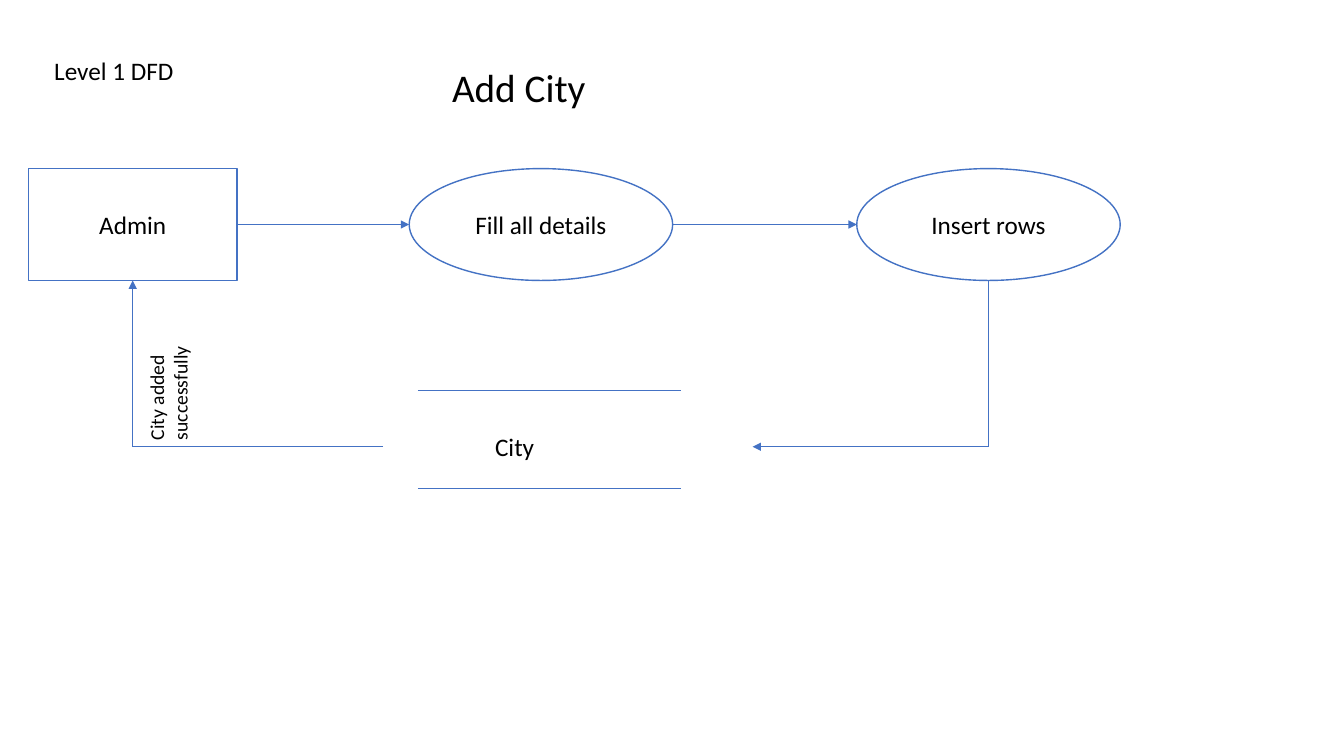
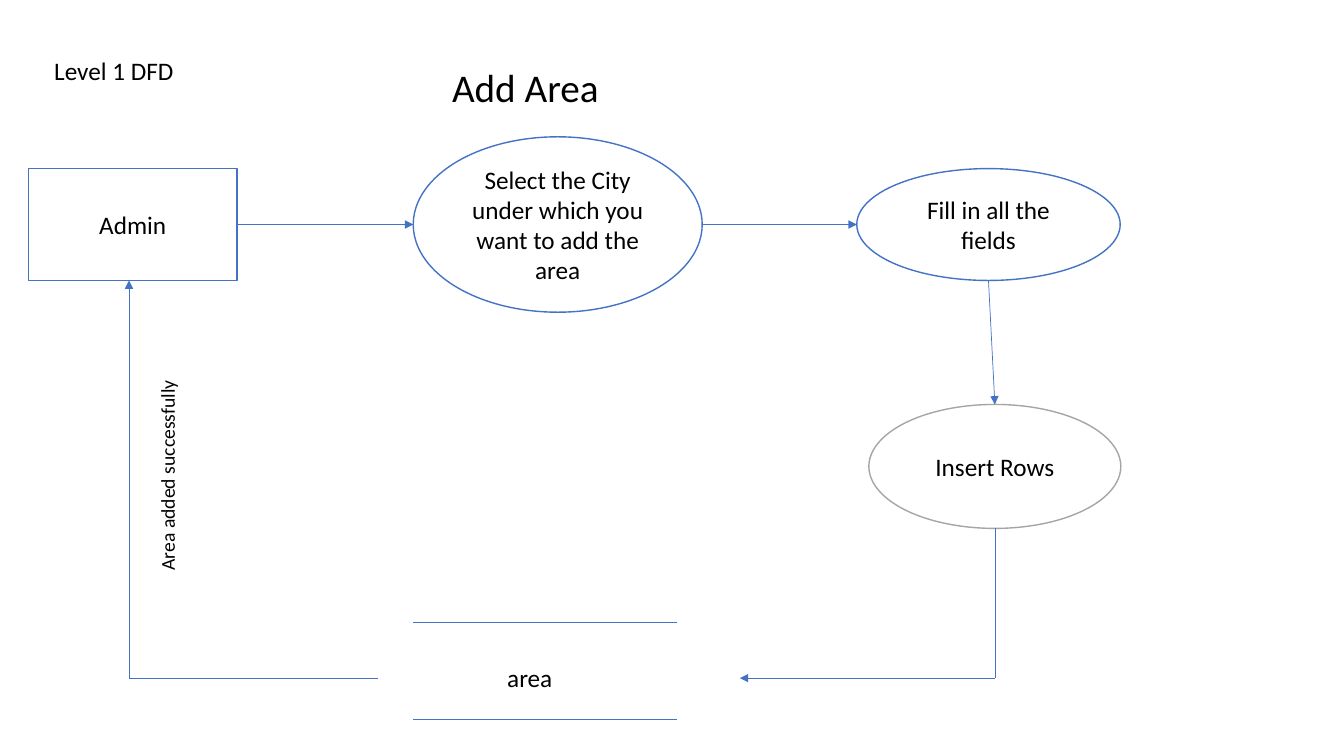
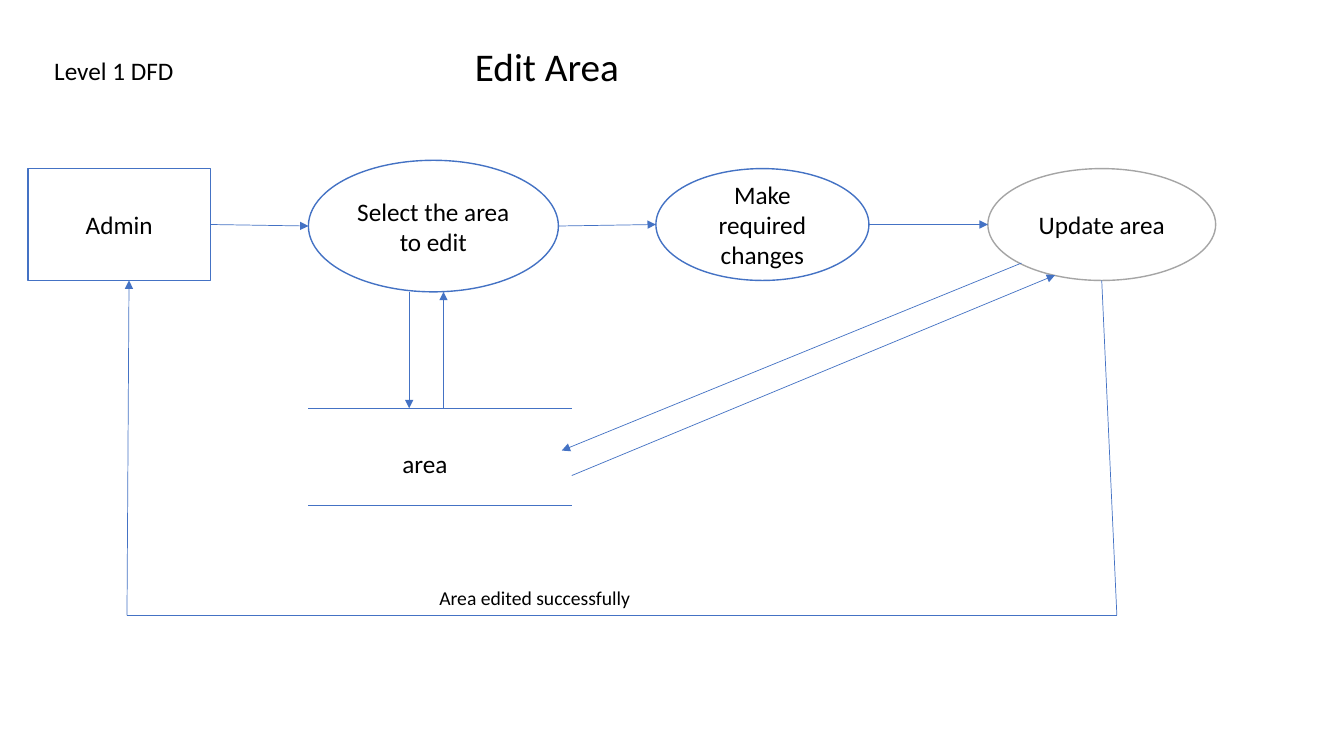
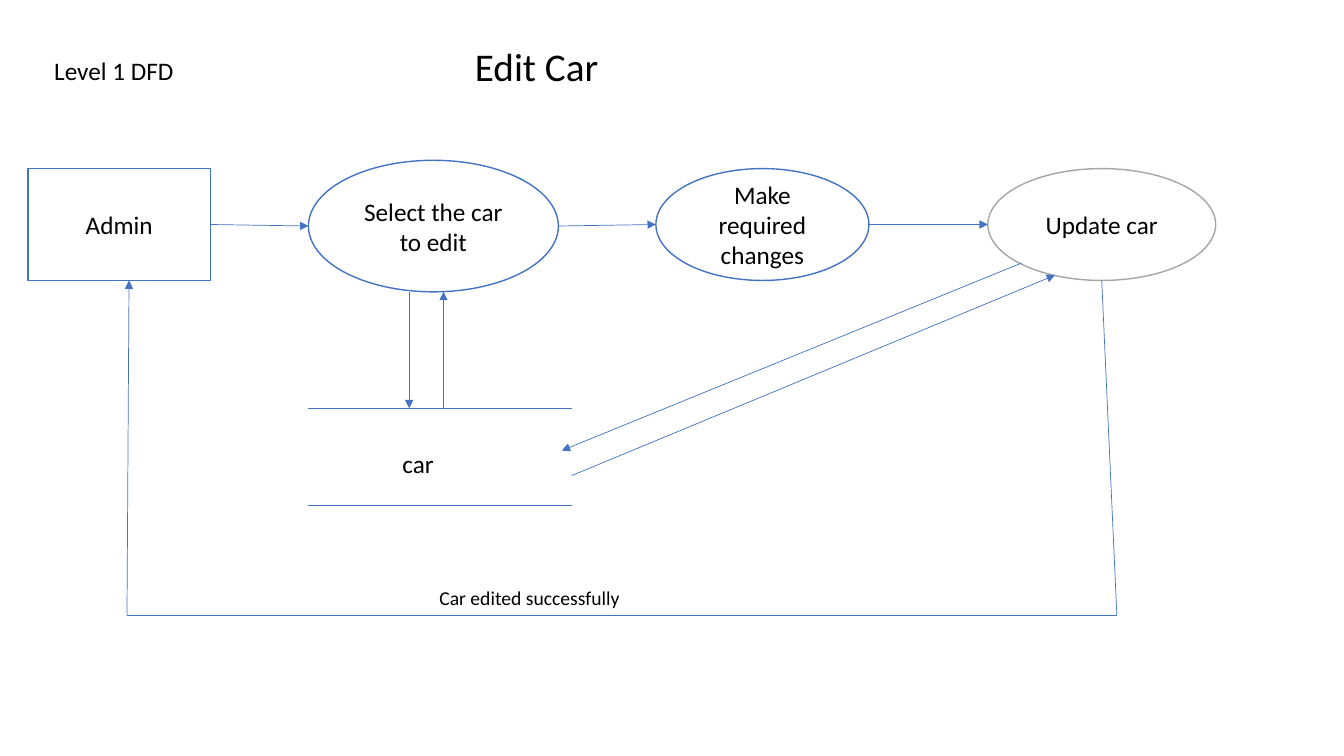
from dataclasses import dataclass

from lxml.etree import SubElement
from pptx import Presentation
from pptx.dml.color import RGBColor
from pptx.enum.shapes import MSO_CONNECTOR, MSO_SHAPE
from pptx.enum.text import MSO_ANCHOR, MSO_AUTO_SIZE, PP_ALIGN
from pptx.oxml.ns import qn
from pptx.util import Inches, Pt


@dataclass(frozen=True)
class Theme:
    width: int = Inches(13.33)
    height: int = Inches(7.5)
    font: str = "Calibri"
    title: int = 28
    body: int = 18
    note: int = 14
    ink: str = "000000"
    paper: str = "FFFFFF"
    blue: str = "4472C4"
    grey: str = "A5A5A5"
    outline: float = 1
    flow: float = 0.5


THEME = Theme()
ROW_TOP = 22.3
ROW_HEIGHT = 14.8
STORE_WIDTH = 19.6
STORE_HEIGHT = 12.9


@dataclass(frozen=True)
class Area:
    """A rectangle in percent of the slide's width and height."""
    left: float
    top: float
    width: float
    height: float

    @property
    def center(self):
        return self.left + self.width / 2

    @property
    def middle(self):
        return self.top + self.height / 2

    @property
    def right(self):
        return self.left + self.width

    @property
    def bottom(self):
        return self.top + self.height

    def lengths(self):
        return (*place(self.left, self.top), *place(self.width, self.height))


def place(across, down):
    return round(THEME.width * across / 100), round(THEME.height * down / 100)


def apply(target, values):
    for name, value in values.items():
        setattr(target, name, value)


def write(box, text, size, frame_format, align=PP_ALIGN.LEFT):
    frame = box.text_frame
    apply(frame, {"word_wrap": True, **frame_format})
    para = frame.paragraphs[0]
    para.alignment = align
    span = para.add_run()
    span.text = text
    apply(span.font, {"name": THEME.font, "size": Pt(size)})
    span.font.color.rgb = RGBColor.from_string(THEME.ink)


def add_label(page, text, area, size=THEME.body, rotation=0):
    box = page.shapes.add_textbox(*area.lengths())
    box.rotation = rotation
    write(box, text, size, {"auto_size": MSO_AUTO_SIZE.SHAPE_TO_FIT_TEXT})


def add_node(page, text, area, kind=MSO_SHAPE.OVAL, color=THEME.blue):
    box = page.shapes.add_shape(kind, *area.lengths())
    box.shadow.inherit = False
    box.fill.solid()
    box.fill.fore_color.rgb = RGBColor.from_string(THEME.paper)
    box.line.color.rgb = RGBColor.from_string(color)
    box.line.width = Pt(THEME.outline)
    write(box, text, THEME.body, {"vertical_anchor": MSO_ANCHOR.MIDDLE},
          PP_ALIGN.CENTER)
    return area


def add_line(page, start, end, arrow=False):
    line = page.shapes.add_connector(
        MSO_CONNECTOR.STRAIGHT, *place(*start), *place(*end))
    line.line.color.rgb = RGBColor.from_string(THEME.blue)
    line.line.width = Pt(THEME.flow)
    properties = line.element.spPr
    if arrow:
        SubElement(properties.get_or_add_ln(), qn("a:tailEnd"), type="triangle")
    SubElement(properties, qn("a:effectLst"))


def add_route(page, *points, arrow=True):
    for index, (start, end) in enumerate(zip(points, points[1:]), 2):
        add_line(page, start, end, arrow and index == len(points))


def link_across(page, *nodes):
    for source, target in zip(nodes, nodes[1:]):
        add_line(page, (source.right, source.middle),
                 (target.left, target.middle), arrow=True)


def add_store(page, text, left, top, text_left):
    area = Area(left, top, STORE_WIDTH, STORE_HEIGHT)
    for level in (area.top, area.bottom):
        add_line(page, (area.left, level), (area.right, level))
    add_label(page, text, Area(text_left, top + 4.7, 10, 5.3))
    return area


def in_row(left, width):
    return Area(left, ROW_TOP, width, ROW_HEIGHT)


def start_page(deck, title, title_left, title_top, admin_width):
    page = deck.slides.add_slide(deck.slide_layouts[6])
    add_label(page, "Level 1 DFD", Area(3.3, 6.7, 11.3, 5.3))
    add_label(page, title, Area(title_left, title_top, 18.4, 7.6), THEME.title)
    admin = add_node(page, "Admin", in_row(2.1, admin_width),
                     MSO_SHAPE.RECTANGLE)
    return page, admin


def link_store(page, source, store, entry, admin, return_x):
    level = store.top + 7.4
    add_route(page, (source.center, source.bottom), (source.center, level),
              (entry, level))
    add_route(page, (store.left - 2.6, level), (return_x, level),
              (return_x, admin.bottom))


def add_city_page(deck):
    page, admin = start_page(deck, "Add City", 32.9, 7.7, 15.55)
    details = add_node(page, "Fill all details", in_row(30.45, 19.6))
    insert = add_node(page, "Insert rows", in_row(63.75, 19.6))
    link_across(page, admin, details, insert)
    store = add_store(page, "City", 31.1, 51.7, 36.1)
    link_store(page, insert, store, 56, admin, admin.center)
    add_label(page, "City added successfully", Area(5.25, 42.8, 14.55, 7.6),
              THEME.note, 270)


def add_area_page(deck):
    page, admin = start_page(deck, "Add Area", 32.9, 7.7, 15.55)
    select = add_node(page, "Select the City under which you want to add the area",
                      Area(30.75, 18.1, 21.5, 23.2))
    fields = add_node(page, "Fill in all the fields", in_row(63.75, 19.6))
    insert = add_node(page, "Insert Rows", Area(64.65, 53.5, 18.75, 16.4),
                      color=THEME.grey)
    link_across(page, admin, select, fields)
    add_route(page, (fields.center, fields.bottom), (insert.center, insert.top))
    store = add_store(page, "area", 30.75, 82.3, 37)
    link_store(page, insert, store, 55.05, admin, 9.6)
    add_label(page, "Area added successfully", Area(4, 59.5, 16.9, 4.5),
              THEME.note, 270)


def add_edit_page(deck, subject):
    name = subject.capitalize()
    page, admin = start_page(deck, f"Edit {name}", 34.6, 4.9, 13.55)
    select = add_node(page, f"Select the {subject} to edit",
                      Area(22.95, 21.2, 18.6, 17.4))
    change = add_node(page, "Make required changes", in_row(48.8, 15.85))
    update = add_node(page, f"Update {subject}", in_row(73.5, 16.95),
                      color=THEME.grey)
    link_across(page, admin, select, change, update)
    store = add_store(page, subject, 22.95, 54, 29.2)
    add_route(page, (30.45, select.bottom), (30.45, store.top))
    add_route(page, (33, store.top), (33, select.bottom))
    add_route(page, (store.right, 62.9), (78.5, 36.4))
    add_route(page, (76, 34.8), (41.8, 59.6))
    add_route(page, (update.center, update.bottom), (83.1, 81.4),
              (9.45, 81.4), (9.6, admin.bottom))
    add_label(page, f"{name} edited successfully", Area(31.95, 76.9, 19.7, 4.5),
              THEME.note)


def main():
    deck = Presentation()
    apply(deck, {"slide_width": THEME.width, "slide_height": THEME.height})
    add_city_page(deck)
    add_area_page(deck)
    for subject in ("area", "car"):
        add_edit_page(deck, subject)
    deck.save("out.pptx")


main()
